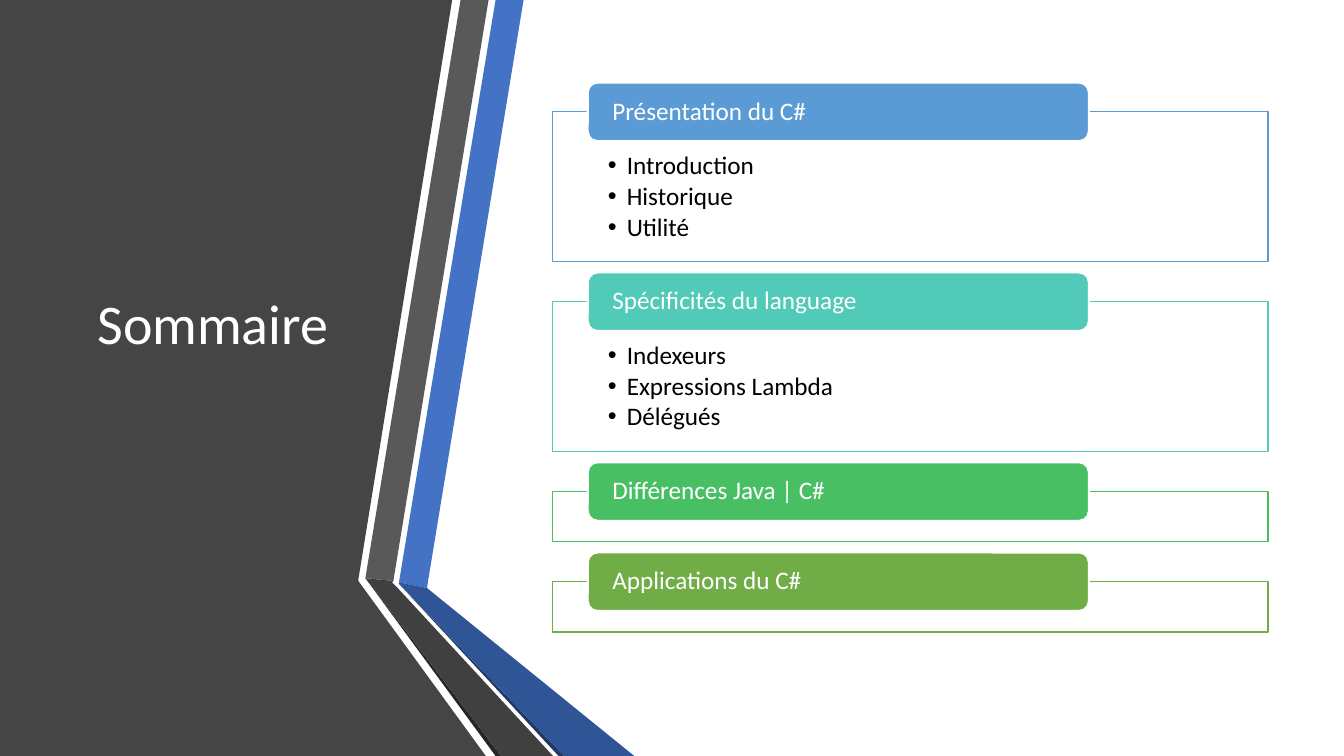
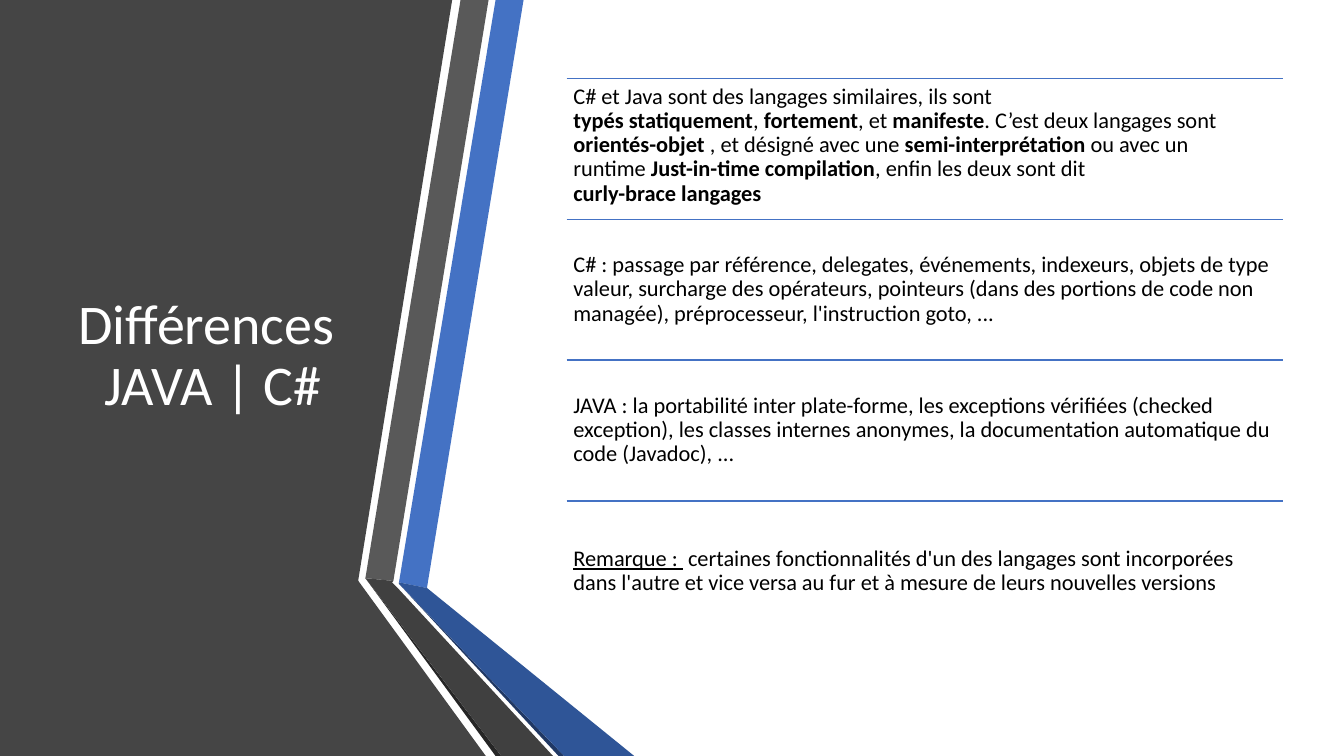
from dataclasses import dataclass

from lxml.etree import SubElement
from pptx import Presentation
from pptx.dml.color import RGBColor
from pptx.enum.shapes import MSO_CONNECTOR as Connector, MSO_SHAPE as Preset
from pptx.enum.text import MSO_ANCHOR as Anchor, MSO_AUTO_SIZE as AutoSize, PP_ALIGN as Align
from pptx.oxml.ns import qn
from pptx.util import Pt

FONT = "Calibri"
COLORS = {
    "white": "FFFFFF", "black": "000000", "panel": "454545",
    "grey": "595959", "grey_fold": "404040", "grey_edge": "262626",
    "blue": "4472C4", "blue_fold": "2F5597", "blue_edge": "203864",
    "sky": "5B9BD5", "teal": "52CAB8", "green": "49BF64", "olive": "70AD47",
}


@dataclass(frozen=True)
class Band:
    color: str
    points: tuple


@dataclass(frozen=True)
class Section:
    heading: str
    color: str
    topics: tuple = ()


@dataclass(frozen=True)
class Span:
    text: str
    bold: bool = False
    underline: bool = False


BREAK = Span("\n")

BANDS = (
    Band("panel", ((0, 0), (323.3, 0), (256.3, 414), (256.3, 414.7), (347, 540), (0, 540))),
    Band("blue", ((285.1, 416.2), (304.6, 419.8), (373.7, 0), (353.5, 0))),
    Band("grey", ((349.2, 0), (329, 0), (261.4, 412.6), (280.8, 415.4))),
    Band("grey_edge", ((261.4, 412.6), (353.5, 540), (357.8, 540))),
    Band("blue_edge", ((285.1, 416.9), (398.9, 540), (403.2, 540))),
    Band("blue_fold", ((285.1, 416.2), (285.1, 416.9), (403.2, 540), (452.9, 540),
                       (304.6, 419.8))),
    Band("grey_fold", ((394.6, 540), (284.4, 419.8), (280.1, 416.2), (280.8, 415.4),
                       (261.4, 412.6), (357.8, 540))),
)

SECTIONS = (
    Section("Présentation du C#", "sky", ("Introduction", "Historique", "Utilité")),
    Section("Spécificités du language", "teal",
            ("Indexeurs", "Expressions Lambda", "Délégués")),
    Section("Différences Java | C#", "green"),
    Section("Applications du C#", "olive"),
)

COMPARISONS = (
    (Span("C# et Java sont des langages similaires, ils sont "), BREAK,
     Span("typés statiquement", bold=True), Span(", "), Span("fortement", bold=True),
     Span(", et "), Span("manifeste", bold=True), Span(". C’est deux langages sont "),
     Span("orientés-objet", bold=True), Span(" , et désigné avec une "),
     Span("semi-interprétation", bold=True), Span(" ou avec un "), BREAK,
     Span("runtime "), Span("Just-in-time compilation", bold=True),
     Span(", enfin les deux sont dit "), BREAK, Span("curly-brace langages", bold=True)),
    (Span("C# : passage par référence, delegates, événements, indexeurs, objets de type "
          "valeur, surcharge des opérateurs, pointeurs (dans des portions de code non "
          "managée), préprocesseur, l'instruction goto, ..."),),
    (Span("JAVA : la portabilité inter plate-forme, les exceptions vérifiées (checked "
          "exception), les classes internes anonymes, la documentation automatique du "
          "code (Javadoc), ..."),),
    (Span("Remarque : ", underline=True),
     Span(" certaines fonctionnalités d'un des langages sont incorporées dans l'autre et "
          "vice versa au fur et à mesure de leurs nouvelles versions")),
)


# Shared formatting
def rgb(name: str) -> RGBColor:
    return RGBColor.from_string(COLORS[name])


def place(shape, left: float, top: float, width: float, height: float) -> None:
    shape.left, shape.top, shape.width, shape.height = map(Pt, (left, top, width, height))


def paint(shape, fill: str, outline: str = "", weight: float = 1) -> None:
    shape.shadow.inherit = False
    shape.fill.solid()
    shape.fill.fore_color.rgb = rgb(fill)
    if outline:
        shape.line.color.rgb = rgb(outline)
        shape.line.width = Pt(weight)
    else:
        shape.line.fill.background()


def set_frame(frame, anchor, margins: tuple) -> None:
    frame.word_wrap = True
    frame.auto_size = AutoSize.NONE
    frame.vertical_anchor = anchor
    (frame.margin_left, frame.margin_top,
     frame.margin_right, frame.margin_bottom) = map(Pt, margins)


def style(paragraph, size: float, color: str, align=Align.LEFT, after: float = 0) -> None:
    paragraph.alignment = align
    paragraph.line_spacing = 0.9
    paragraph.space_before = Pt(0)
    paragraph.space_after = Pt(after)
    paragraph.font.name = FONT
    paragraph.font.size = Pt(size)
    paragraph.font.color.rgb = rgb(color)


def set_title(slide, text: str, lift: float = 0) -> None:
    """Write the title; lift reserves room below it."""
    title = slide.shapes.title
    place(title, 42.5, 54, 219, 402)
    set_frame(title.text_frame, Anchor.MIDDLE, (7.2, 3.6, 7.2, 3.6 + lift))
    paragraph = title.text_frame.paragraphs[0]
    paragraph.text = text
    style(paragraph, 40, "white", Align.CENTER)


def move_bands_to_master(slide, master) -> None:
    """Build the folded bands and hand them to the master, behind every slide."""
    for band in BANDS:
        start, *rest = band.points
        builder = slide.shapes.build_freeform(*start, scale=Pt(1))
        builder.add_line_segments(rest, close=True)
        outline = builder.convert_to_shape()
        paint(outline, band.color)
        master.shapes.element.append(outline.element)


# Summary slide
def fill_topics(body, topics: tuple) -> None:
    frame = body.text_frame
    set_frame(frame, Anchor.TOP, (39.6, 29.5, 39.6, 10))
    for index, topic in enumerate(topics):
        paragraph = frame.add_paragraph() if index else frame.paragraphs[0]
        paragraph.text = topic
        style(paragraph, 18, "black", after=2.4)
        properties = paragraph._p.get_or_add_pPr()
        properties.set("marL", str(Pt(13.5)))
        properties.set("indent", str(-Pt(13.5)))


def add_heading(slide, section: Section, top: float) -> None:
    heading = slide.shapes.add_shape(Preset.ROUNDED_RECTANGLE, Pt(419.8), Pt(top),
                                     Pt(358), Pt(41.8))
    paint(heading, section.color, "white", 1.5)
    set_frame(heading.text_frame, Anchor.MIDDLE, (15.5, 0, 15.5, 0))
    paragraph = heading.text_frame.paragraphs[0]
    paragraph.text = section.heading
    style(paragraph, 18, "white")


def build_summary(prs):
    slide = prs.slides.add_slide(prs.slide_layouts.get_by_name("Two Content"))
    set_title(slide, "Sommaire", lift=44)
    bodies = iter([p for p in slide.placeholders if p.placeholder_format.idx])
    top = 79.8
    for section in SECTIONS:
        height = 107.2 if section.topics else 36
        if section.topics:
            box = next(bodies)
            fill_topics(box, section.topics)
        else:
            box = slide.shapes.add_shape(Preset.RECTANGLE, 0, 0, 0, 0)
        place(box, 394.6, top, 511.2, height)
        paint(box, "white", section.color)
        add_heading(slide, section, top - 20.8)
        top += height + 28.4
    return slide


# Comparison slide
def add_rule(slide, left: float, top: float, width: float) -> None:
    rule = slide.shapes.add_connector(Connector.STRAIGHT, Pt(left), Pt(top),
                                      Pt(left + width), Pt(top))
    rule.line.color.rgb = rgb("blue")
    rule.line.width = Pt(1)
    SubElement(rule.element.spPr, qn("a:effectLst"))


def add_comparison(slide, spans: tuple, anchor, box: tuple) -> None:
    comparison = slide.shapes.add_textbox(*map(Pt, box))
    set_frame(comparison.text_frame, anchor, (4.8, 4.8, 4.8, 4.8))
    paragraph = comparison.text_frame.paragraphs[0]
    style(paragraph, 16, "black")
    for span in spans:
        if span is BREAK:
            paragraph.add_line_break()
            continue
        run = paragraph.add_run()
        run.text = span.text
        if span.bold:
            run.font.bold = True
        if span.underline:
            run.font.underline = True


def build_comparison(prs) -> None:
    slide = prs.slides.add_slide(prs.slide_layouts.get_by_name("Title Only"))
    set_title(slide, "Différences \nJAVA | C#")
    left, width, pitch = 404.8, 511.5, 100.6
    for index, spans in enumerate(COMPARISONS):
        top = 56 + index * pitch
        add_rule(slide, left, top, width)
        anchor = Anchor.MIDDLE if index else Anchor.TOP
        add_comparison(slide, spans, anchor, (left, top, width, pitch))


def main() -> None:
    prs = Presentation()
    prs.slide_width, prs.slide_height = Pt(960), Pt(540)
    summary = build_summary(prs)
    build_comparison(prs)
    move_bands_to_master(summary, prs.slide_master)
    prs.save("out.pptx")


if __name__ == "__main__":
    main()
